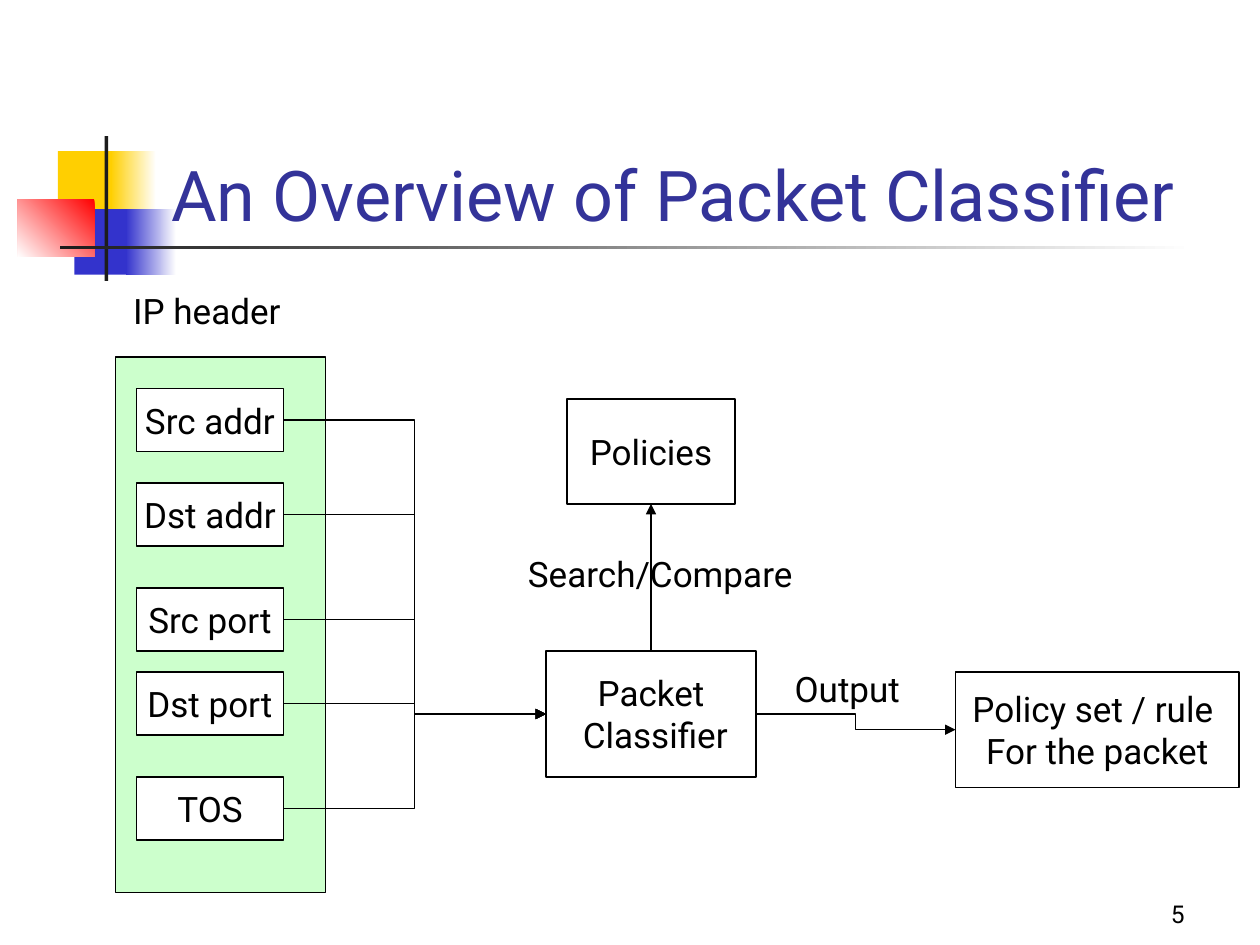
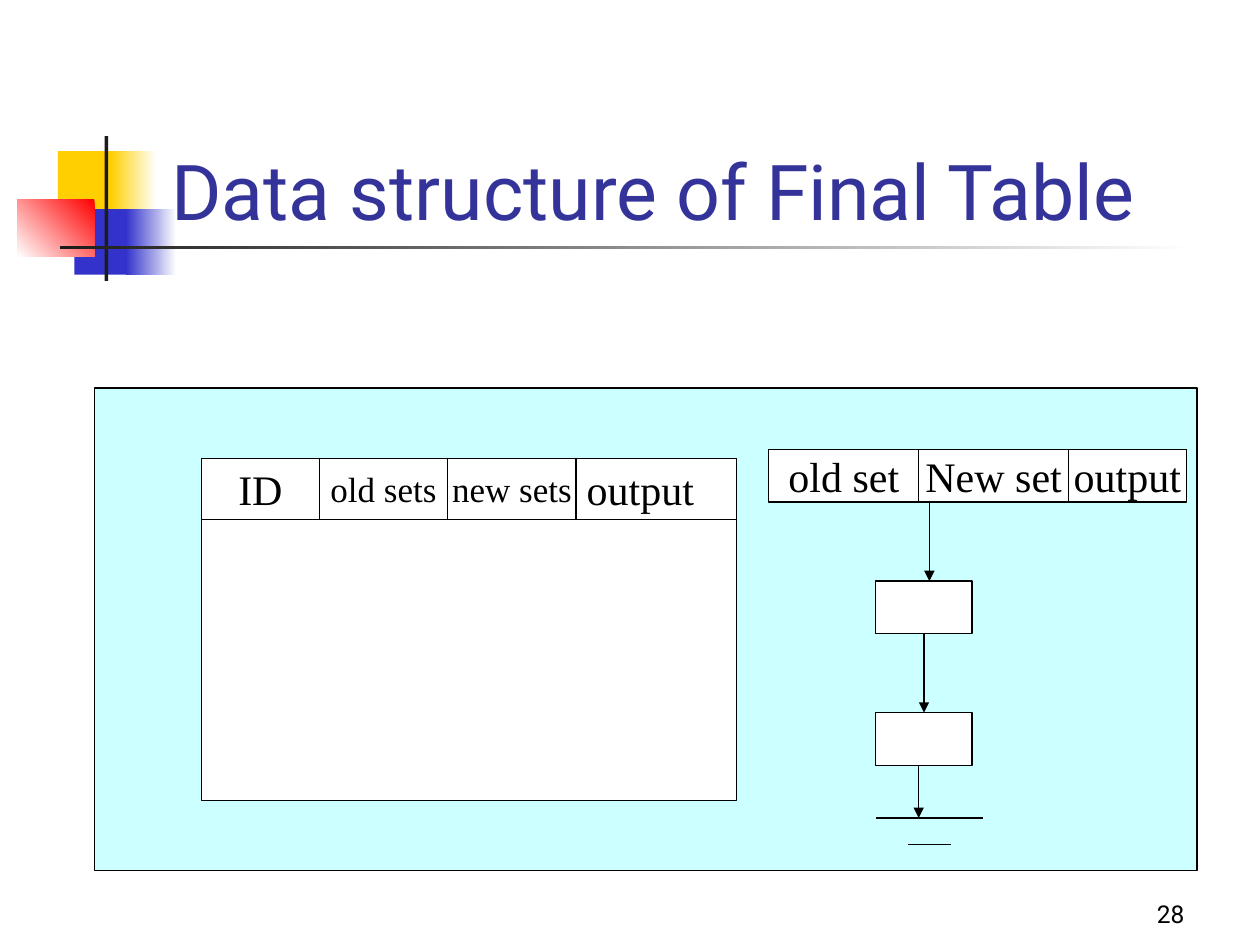
from collections import namedtuple
from lxml.etree import SubElement
from pptx import Presentation
from pptx.dml.color import RGBColor
from pptx.enum.shapes import MSO_CONNECTOR as Link, MSO_SHAPE as Shape
from pptx.enum.text import MSO_ANCHOR as Anchor, MSO_AUTO_SIZE as Fit, PP_ALIGN as Align
from pptx.oxml.ns import qn
from pptx.util import Inches, Pt

SANS, SERIF = "Roboto", "Times New Roman"
BLACK, WHITE, NAVY = "000000", "FFFFFF", "333399"
GREEN, CYAN = "CCFFCC", "CCFFFF"
GOLD, BLUE, RED, INK = "FFCF01", "3333CC", "FF0000", "1C1C1C"

Grid = namedtuple("Grid", "left top col row")
INCH = Grid(0, 0, 1, 1)
TWELFTH = Grid(0, 0, 1 / 12, 1 / 12)
PANEL = Grid(0.75, 3.08, 8.75 / 103, 3.83 / 55)  # the cyan panel is 103 x 55 cells

# place in inches, fill colours from first to last, angle of the gradient
MOTIF = [
    ((0.46, 1.2, 0.48, 0.52), [GOLD], 0),
    ((0.88, 1.2, 0.36, 0.52), [WHITE, GOLD], 180),
    ((0.59, 1.66, 0.46, 0.52), [BLUE], 0),
    ((1, 1.66, 0.4, 0.52), [WHITE, BLUE], 180),
    ((0.14, 1.58, 0.61, 0.46), [RED, WHITE], 225),
    ((0.83, 1.08, 0.03, 1.15), [INK], 0),
    ((0.48, 1.95, 9, 0.03), [WHITE, INK], 180),
]
TITLE_AT = (1.26, 0.67, 8.52, 1.25)
NUMBER_AT = (7.42, 6.92, 2.08, 0.5)

# Slide 5, in twelfths of an inch
HEADER = (11, 34, 20, 51)
FIELDS = [("Src addr", 37), ("Dst addr", 46), ("Src port", 56), ("Dst port", 64), ("TOS", 74)]
BOXES = {
    "engine": (["Packet", " Classifier"], (52, 62, 20, 12)),
    "rules": (["Policies"], (54, 38, 16, 10)),
    "result": (["Policy set / rule ", "For the packet"], (91, 64, 27, 11)),
}
LABELS = [
    ("IP header", (11.5, 27, 17.5, 5.25)),
    ("Search/Compare", (49.1, 52, 28.7, 5.25)),
    ("Output", (74.5, 63, 13.5, 5.25)),
]

# Slide 28, in cells of the panel: text, size, left, width
TABLE = (10, 8, 50, 39)
COLUMNS = [("output", 24, 42, 18), ("ID", 24, 10, 11),
           ("old sets", 20, 21, 12), ("new sets", 20, 33, 12)]
RECORD = [("old set", 24, 63, 14), ("New set", 24, 77, 14), ("output", 24, 91, 11)]
NODES = [(73, 22, 9, 6), (73, 37, 9, 6)]
ARROWS = [(78, 13, 78, 22), (77.5, 28, 77.5, 37), (77, 43, 77, 49)]
GROUND = [(73, 49, 83, 49), (76, 52, 80, 52)]


def color(code):
    return RGBColor.from_string(code)


def place(grid, x, y, w, h):
    """Left, top, width and height on the slide of a block of grid cells."""
    return [Inches(n) for n in (grid.left + x * grid.col, grid.top + y * grid.row,
                                w * grid.col, h * grid.row)]


def write(shape, lines, size, font=SANS, ink=BLACK, align=Align.LEFT,
          anchor=Anchor.TOP, wrap=False, fit=Fit.NONE):
    frame = shape.text_frame
    frame.word_wrap, frame.auto_size, frame.vertical_anchor = wrap, fit, anchor
    for i, line in enumerate(lines):
        para = frame.add_paragraph() if i else frame.paragraphs[0]
        para.alignment = align
        run = para.add_run()
        run.text = line
        run.font.name, run.font.size = font, Pt(size)
        run.font.color.rgb = color(ink)


def block(slide, at):
    shape = slide.shapes.add_shape(Shape.RECTANGLE, *at)
    shape.shadow.inherit = False
    return shape


def box(slide, grid, at, lines=(), size=20, font=SANS, fill=WHITE):
    shape = block(slide, place(grid, *at))
    shape.fill.solid()
    shape.fill.fore_color.rgb = color(fill)
    shape.line.color.rgb, shape.line.width = color(BLACK), Pt(0.75)
    write(shape, lines, size, font, align=Align.CENTER, anchor=Anchor.MIDDLE)
    return shape


def line(slide, kind, ends=(0, 0, 0, 0), arrow=True):
    link = slide.shapes.add_connector(kind, *ends)
    link.line.color.rgb, link.line.width = color(BLACK), Pt(0.75)
    SubElement(link.element.spPr, qn("a:effectLst"))
    if arrow:
        SubElement(link.line._get_or_add_ln(), qn("a:tailEnd"), type="triangle")
    return link


def join(slide, start, end, sites=(3, 1), kind=Link.ELBOW):
    """Arrow between two boxes; sites count from the top, counter-clockwise."""
    link = line(slide, kind)
    link.begin_connect(start, sites[0])
    link.end_connect(end, sites[1])


def rule(slide, grid, x1, y1, x2, y2, arrow):
    ends = place(grid, x1, y1, 0, 0)[:2] + place(grid, x2, y2, 0, 0)[:2]
    line(slide, Link.STRAIGHT, ends, arrow)


def start(deck, title, size, number):
    """New slide with the motif, the title and the slide number."""
    slide = deck.slides.add_slide(deck.slide_layouts[5])
    for at, hues, angle in MOTIF:
        shape = block(slide, place(INCH, *at))
        shape.line.fill.background()
        if len(hues) == 1:
            shape.fill.solid()
            shape.fill.fore_color.rgb = color(hues[0])
        else:
            shape.fill.gradient()
            shape.fill.gradient_angle = angle
            for stop, hue, spot in zip(shape.fill.gradient_stops, hues, (0, 1)):
                stop.color.rgb, stop.position = color(hue), spot
    head = slide.shapes.title
    head.left, head.top, head.width, head.height = place(INCH, *TITLE_AT)
    write(head, [title], size, ink=NAVY, anchor=Anchor.BOTTOM, wrap=True)
    head.element.getparent().append(head.element)  # in front of the motif
    foot = slide.shapes.add_textbox(*place(INCH, *NUMBER_AT))
    write(foot, [number], 14, align=Align.RIGHT, anchor=Anchor.BOTTOM, wrap=True)
    return slide


def overview(deck):
    slide = start(deck, "An Overview of Packet Classifier", 40, "5")
    box(slide, TWELFTH, HEADER, fill=GREEN)
    fields = [box(slide, TWELFTH, (13, top, 14, 6), [name]) for name, top in FIELDS]
    made = {key: box(slide, TWELFTH, at, lines) for key, (lines, at) in BOXES.items()}
    for field in fields:
        join(slide, field, made["engine"])
    join(slide, made["engine"], made["rules"], (0, 2), Link.STRAIGHT)
    join(slide, made["engine"], made["result"])
    for text, at in LABELS:
        label = slide.shapes.add_textbox(*place(TWELFTH, *at))
        write(label, [text], 20, fit=Fit.SHAPE_TO_FIT_TEXT)


def final(deck):
    slide = start(deck, "Data structure of Final Table", 44, "28")
    box(slide, PANEL, (0, 0, 103, 55), fill=CYAN)
    box(slide, PANEL, TABLE)
    for cells, top, height in ((COLUMNS, 8, 7), (RECORD, 7, 6)):
        for text, size, left, width in cells:
            box(slide, PANEL, (left, top, width, height), [text], size, SERIF)
    for node in NODES:
        box(slide, PANEL, node)
    for ends in ARROWS:
        rule(slide, PANEL, *ends, arrow=True)
    for ends in GROUND:
        rule(slide, PANEL, *ends, arrow=False)


def main():
    deck = Presentation()
    deck.slide_width, deck.slide_height = Inches(10), Inches(7.5)
    overview(deck)
    final(deck)
    deck.save("out.pptx")


if __name__ == "__main__":
    main()
